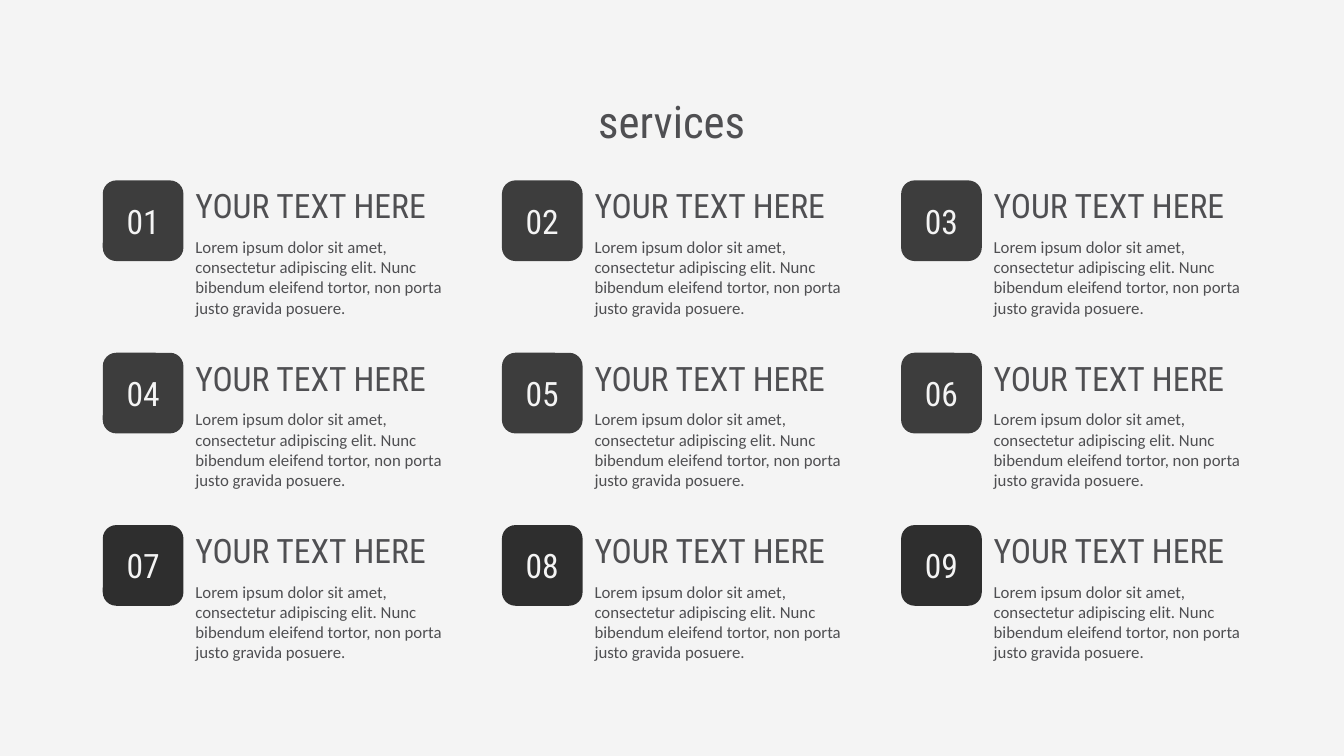
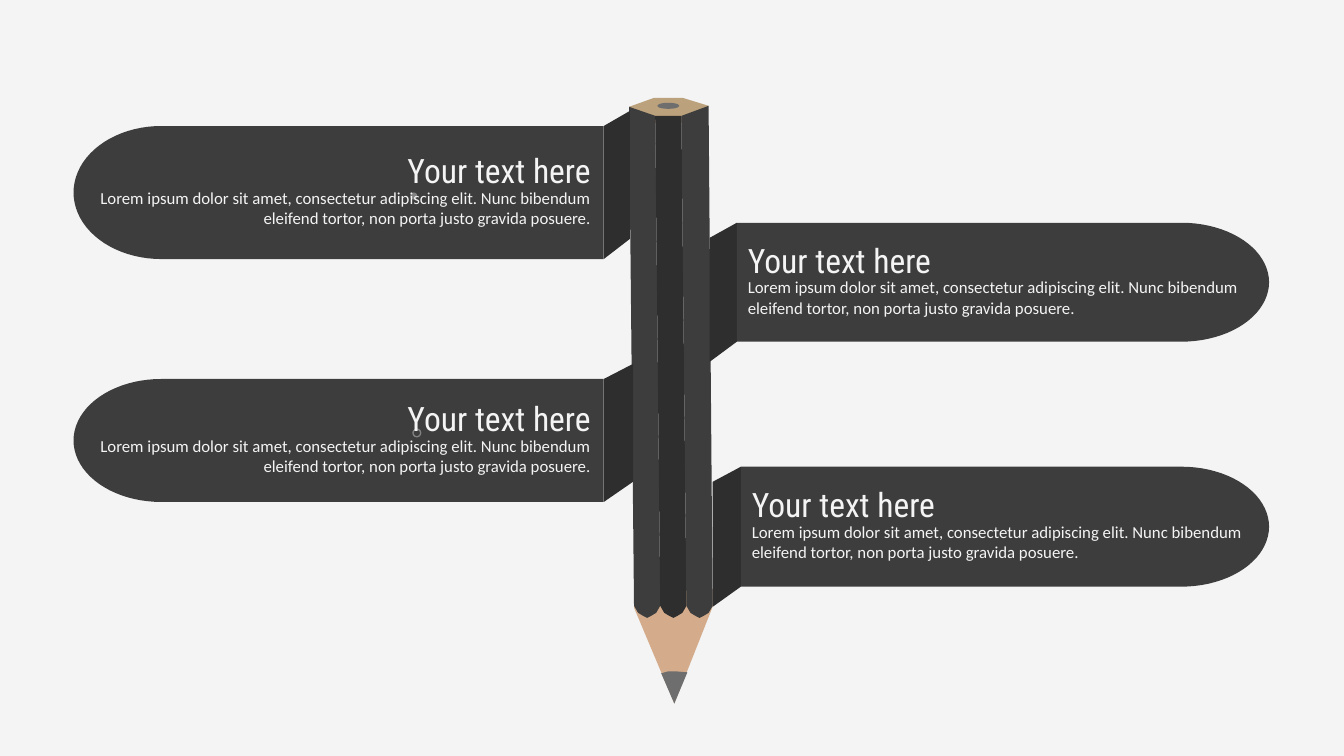
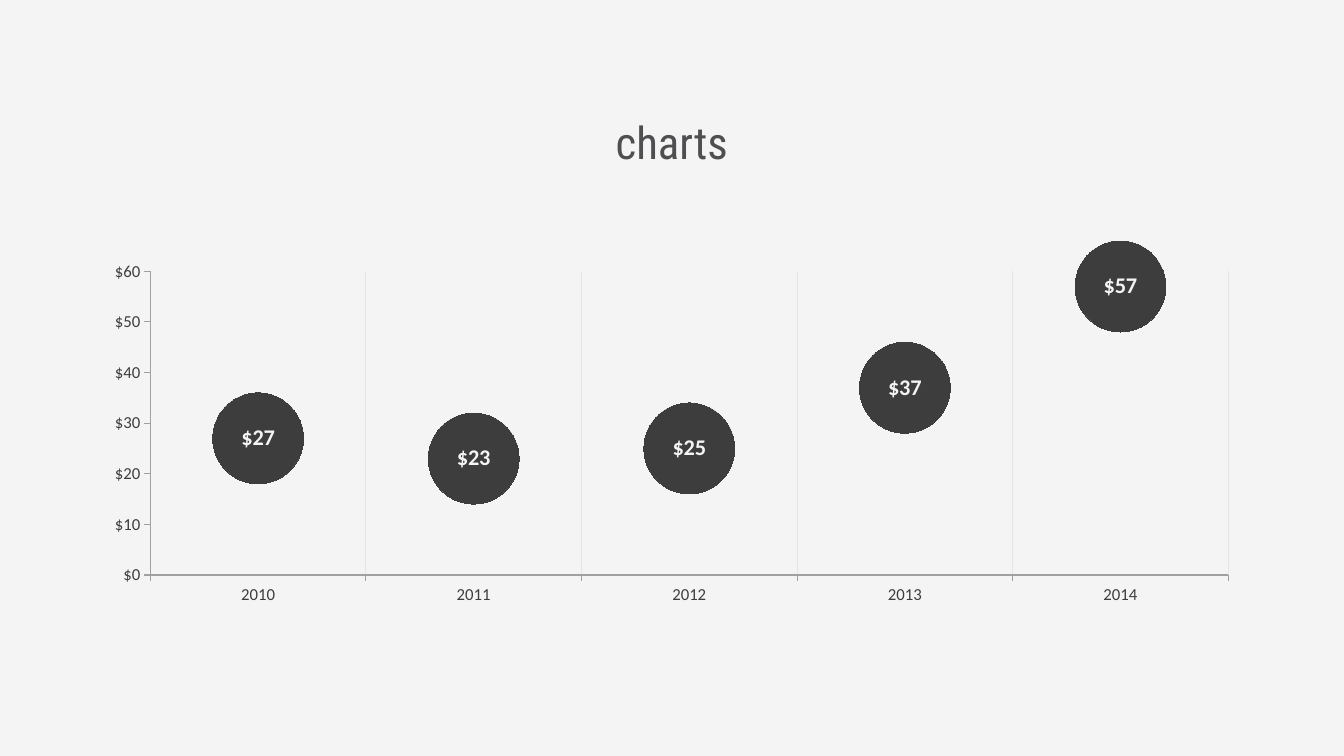
from math import cos, pi, sin

from lxml.etree import SubElement
from pptx import Presentation
from pptx.chart.data import CategoryChartData
from pptx.dml.color import RGBColor
from pptx.enum.chart import (XL_CHART_TYPE, XL_LABEL_POSITION,
                             XL_MARKER_STYLE, XL_TICK_MARK)
from pptx.enum.shapes import MSO_SHAPE
from pptx.enum.text import MSO_ANCHOR, PP_ALIGN
from pptx.oxml.ns import qn
from pptx.util import Inches, Pt

HUES = {"page": "F4F4F4", "dark": "3D3D3D", "deep": "2E2E2E", "text": "4F4F52",
        "gold": "BBA17C", "wood": "D4AC8C", "lead": "6E6E6E", "dot": "818181",
        "axis": "A0A0A3", "grid": "E5E5E5"}
INK = {name: RGBColor.from_string(code) for name, code in HUES.items()}
HEAD, BODY = "Roboto Condensed", "Calibri"
LOREM = ("Lorem ipsum dolor sit amet, consectetur adipiscing elit. Nunc bibendum "
         "eleifend tortor, non porta justo gravida posuere.")

# Every length counts square cells: the slide is 133.33 columns by 75 rows.
CELL = Inches(0.1)
COLS, ROWS = 133.33, 75


def write(shape, text, size, font, hue, align=PP_ALIGN.LEFT):
    """Fill a shape with one paragraph of wrapped, formatted text."""
    frame = shape.text_frame
    frame.word_wrap = True
    frame.text = text
    para = frame.paragraphs[0]
    para.alignment = align
    face = para.runs[0].font
    face.size, face.name, face.color.rgb = Pt(size), font, INK[hue]


def draw(slide, kind, hue, *nums):
    """Add a plain filled shape: a preset in a box, or an outline of points."""
    if kind is None:
        spots = [(x * CELL, y * CELL) for x, y in nums]
        pen = slide.shapes.build_freeform(*spots[0])
        pen.add_line_segments(spots[1:])
        shape = pen.convert_to_shape()
    else:
        shape = slide.shapes.add_shape(kind, *[round(n * CELL) for n in nums])
    shape.shadow.inherit = False
    shape.fill.solid()
    shape.fill.fore_color.rgb = INK[hue]
    shape.line.fill.background()
    return shape


# Shared page and titles
deck = Presentation()
deck.slide_width, deck.slide_height = round(COLS * CELL), ROWS * CELL
back = deck.slide_master.background.fill
back.solid()
back.fore_color.rgb = INK["page"]

pages = []
for name, top in (("services", 8.8), (None, 0), ("charts", 10.9)):
    page = deck.slides.add_slide(deck.slide_layouts[5 if name else 6])
    pages.append(page)
    if name:
        title = page.shapes.title
        title.left, title.top, title.width, title.height = [
            round(n * CELL) for n in (45.1, top, 43.1, 6.4)]
        write(title, name, 32, HEAD, "text", PP_ALIGN.CENTER)
        title.text_frame.vertical_anchor = MSO_ANCHOR.TOP
grid, pencil, stats = pages

# Services: three by three numbered blocks
for i in range(9):
    row, col = divmod(i, 3)
    left, top = 10.2 + 39.6 * col, 17.9 + 17.1 * row
    tile = draw(grid, MSO_SHAPE.ROUNDED_RECTANGLE, "deep" if row == 2 else "dark",
                left, top, 8, 8)
    write(tile, f"{i + 1:02}", 24, HEAD, "page", PP_ALIGN.CENTER)
    tile.text_frame.vertical_anchor = MSO_ANCHOR.MIDDLE
    for text, size, font, drop, high in (("YOUR TEXT HERE", 24, HEAD, 0, 5),
                                         (LOREM, 12, BODY, 5.1, 9.1)):
        box = grid.shapes.add_textbox(*[
            round(n * CELL) for n in (left + 8.2, top + drop, 29, high)])
        write(box, text, size, font, "text")

# Pencil: wood, end face, three sides with rounded ends, lead
draw(pencil, None, "wood", (70.7, 60.2), (66.9, 69.8), (62.9, 60.3),
     (62.9, 58.5), (70.7, 58.5))
draw(pencil, None, "gold", (64.4, 12.2), (62.4, 10.6), (64.9, 9.7),
     (67.7, 9.7), (70.3, 10.5), (68.3, 12.2))
tops = [(62.4, 10.6), (65, 11.5), (67.6, 11.5), (70.3, 10.5)]
curve = [(0, 0), (0.4, 0.7), (0.9, 1), (1.3, 1.2), (1.7, 1), (2.2, 0.7), (2.6, 0)]
for i, hue in enumerate(("dark", "deep", "dark")):
    foot = [(62.9 + 2.6 * i + x, 60.1 + y) for x, y in curve]
    draw(pencil, None, hue, tops[i], *foot, tops[i + 1])
draw(pencil, MSO_SHAPE.OVAL, "lead", 65.2, 10.2, 2.2, 0.6)
draw(pencil, None, "lead", (65.6, 66.8), (66.3, 66.6), (67, 66.6),
     (68.2, 66.7), (66.9, 69.8))

# Banners: way out from the pencil, hinge, pencil edge, top, bottom
banners = [(1, 73.1, 70.4, 22.1, 33.9), (1, 73.5, 70.7, 46.3, 58.2),
           (-1, 59.9, 62.5, 12.5, 25.7), (-1, 59.9, 62.8, 37.6, 49.8)]
for way, hinge, edge, top, base in banners:
    draw(pencil, None, "deep", (edge, top + 1.5 * way), (hinge, top),
         (hinge, base), (edge, base + 2 * way))
    mid, half = (top + base) / 2, (base - top) / 2
    hub = 66.6 + 50.6 * way
    turns = [pi * n / 40 - pi / 2 for n in range(41)]
    arc = [(hub + 8.7 * way * cos(t), mid + half * sin(t)) for t in turns]
    draw(pencil, None, "dark", (hinge, top), *arc, (hinge, base))

draw(pencil, MSO_SHAPE.OVAL, "dot", 40.7, 19.1, 0.7, 0.7)
draw(pencil, MSO_SHAPE.DONUT, "dot", 40.9, 42.5, 0.9, 0.9).adjustments[0] = 0.15

for way, hinge, edge, top, base in banners:
    left = hinge + 0.1 if way > 0 else hinge - 54.1
    mid = (top + base) / 2
    for text, size, font, drop in ((LOREM, 12, BODY, -1),
                                   ("Your text here", 24, HEAD, -4.7)):
        box = pencil.shapes.add_textbox(*[
            round(n * CELL) for n in (left, mid + drop, 53.8, 5)])
        write(box, text, size, font, "page",
              PP_ALIGN.LEFT if way > 0 else PP_ALIGN.RIGHT)

# Chart: large round markers without a line
MONEY = "[$$-C09]#,##0"
data = CategoryChartData(number_format=MONEY)
data.categories = ["2010", "2011", "2012", "2013", "2014"]
data.add_series("Series 1", (27, 23, 25, 37, 57))
chart = stats.shapes.add_chart(XL_CHART_TYPE.LINE_MARKERS, *[
    round(n * CELL) for n in (11.4, 23.2, 110.5, 37.2)], data).chart
chart.has_title = chart.has_legend = False
chart.font.name, chart.font.size = BODY, Pt(18)
chart.font.color.rgb = INK["dark"]

years, costs = chart.category_axis, chart.value_axis
for axis in (years, costs):
    axis.major_tick_mark, axis.minor_tick_mark = XL_TICK_MARK.OUTSIDE, XL_TICK_MARK.NONE
    face = axis.tick_labels.font
    face.name, face.size, face.color.rgb = BODY, Pt(12), INK["dark"]
    axis.format.line.width = Pt(0.75)
    axis.format.line.color.rgb = INK["axis"]
years.has_major_gridlines, costs.has_major_gridlines = True, False
years.major_gridlines.format.line.width = Pt(0.75)
years.major_gridlines.format.line.color.rgb = INK["grid"]
costs.minimum_scale, costs.maximum_scale, costs.major_unit = 0, 60, 10
costs.tick_labels.number_format = MONEY
costs.tick_labels.number_format_is_linked = False

plot = chart.plots[0]
plot.vary_by_categories = False
line = plot.series[0]
line.smooth = False
line.format.line.fill.background()
line.marker.style, line.marker.size = XL_MARKER_STYLE.CIRCLE, 65
line.marker.format.fill.solid()
line.marker.format.fill.fore_color.rgb = INK["dark"]
line.marker.format.line.fill.background()
tags = line.data_labels
tags.show_value, tags.position = True, XL_LABEL_POSITION.CENTER
tags.number_format, tags.number_format_is_linked = MONEY, False
face = tags.font
face.name, face.size, face.bold, face.color.rgb = BODY, Pt(16), True, INK["page"]

area = chart.element.find(".//" + qn("c:plotArea"))
lay = area.find(qn("c:layout"))
if lay is None:
    lay = SubElement(area, qn("c:layout"))
    area.insert(0, lay)
hand = SubElement(lay, qn("c:manualLayout"))
for tag, val in (("layoutTarget", "inner"), ("xMode", "edge"), ("yMode", "edge"),
                 ("x", 0.03), ("y", 0.1), ("w", 0.97), ("h", 0.81)):
    SubElement(hand, qn("c:" + tag)).set("val", str(val))

deck.save("out.pptx")
